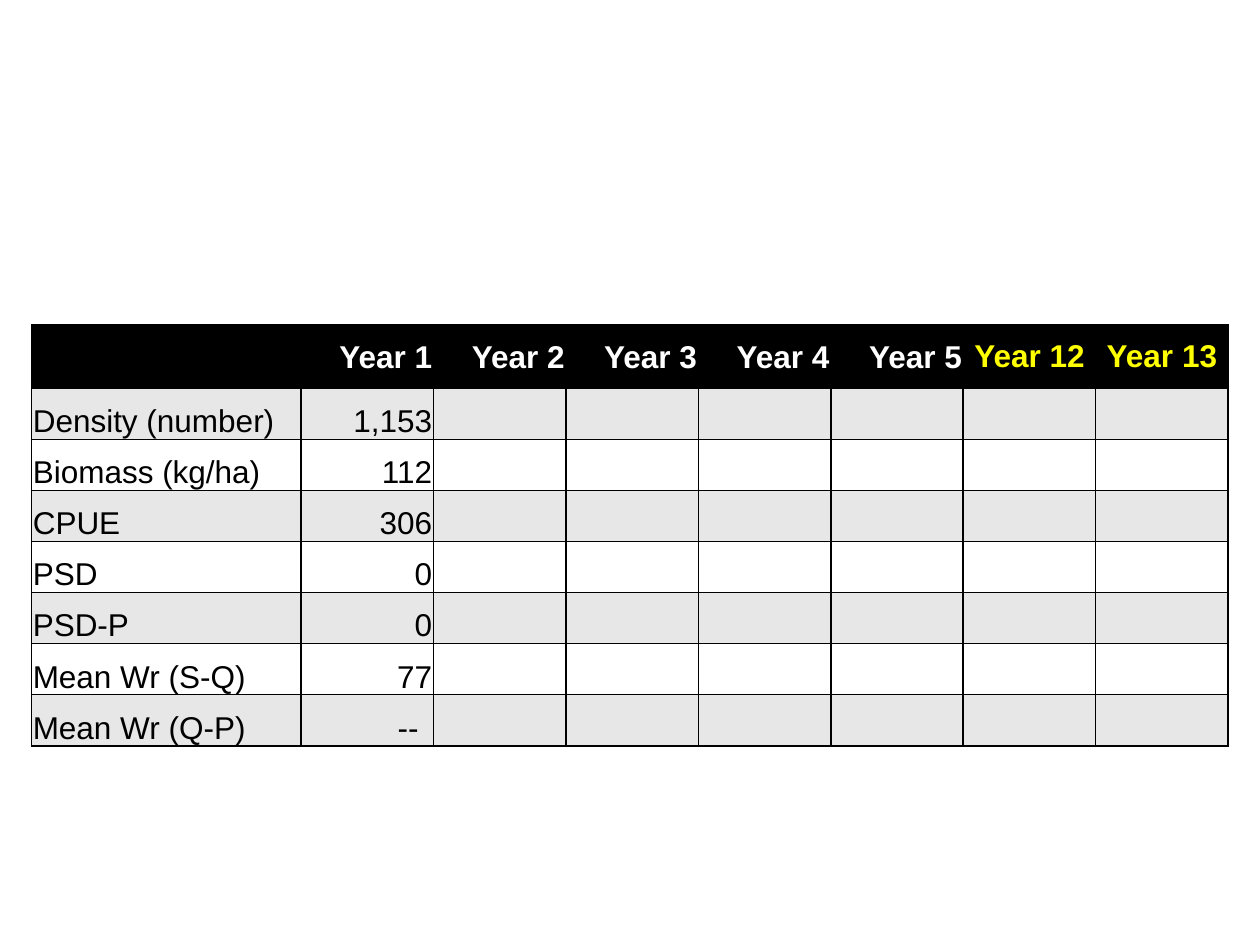
from lxml import etree
from pptx import Presentation
from pptx.dml.color import RGBColor
from pptx.enum.text import MSO_ANCHOR, PP_ALIGN
from pptx.oxml.ns import qn
from pptx.util import Pt

LEFT, RIGHT, MID = PP_ALIGN.LEFT, PP_ALIGN.RIGHT, PP_ALIGN.CENTER
MIDDLE, BOTTOM = MSO_ANCHOR.MIDDLE, MSO_ANCHOR.BOTTOM
BLACK, WHITE, GREY, YELLOW = "000000", "FFFFFF", "E7E7E7", "FFFF00"

YEARS = ["Year 1", "Year 2", "Year 3", "Year 4", "Year 5"]
LATE = ["Year 12", "Year 13"]
DATA = [
    ("Density (number)", "1,153"),
    ("Biomass (kg/ha)", "112"),
    ("CPUE", "306"),
    ("PSD", "0"),
    ("PSD-P", "0"),
    ("Mean Wr (S-Q)", "77"),
    ("Mean Wr (Q-P)", "--"),
]
X, Y = 18, 185.8
NAME_W, YEAR_W = 154, 75.7
HEAD_H, ROW_H = 36, 28.8


def color(code):
    return RGBColor.from_string(code)


def frame(cell, fill):
    props = cell._tc.get_or_add_tcPr()
    for side in ("lnL", "lnR", "lnT", "lnB"):
        line = etree.SubElement(props, qn("a:" + side), w=str(Pt(1)))
        solid = etree.SubElement(line, qn("a:solidFill"))
        etree.SubElement(solid, qn("a:srgbClr"), val=BLACK)
    cell.fill.solid()
    cell.fill.fore_color.rgb = color(fill)


def write(cell, text, ink=BLACK, bold=False, align=LEFT, anchor=BOTTOM, inset=0.75, right=None):
    cell.vertical_anchor = anchor
    cell.margin_left = cell.margin_top = Pt(inset)
    cell.margin_right = Pt(inset if right is None else right)
    cell.margin_bottom = 0
    para = cell.text_frame.paragraphs[0]
    para.alignment = align
    run = para.add_run()
    run.text = text
    font = run.font
    font.name, font.size, font.bold = "Arial", Pt(18), bold
    font.color.rgb = color(ink)


def main():
    deck = Presentation()
    deck.slide_width, deck.slide_height = Pt(720), Pt(540)
    slide = deck.slides.add_slide(deck.slide_layouts[6])

    widths = [NAME_W] + [YEAR_W] * len(YEARS + LATE)
    heights = [HEAD_H] + [ROW_H] * len(DATA)
    table = slide.shapes.add_table(
        len(heights), len(widths), Pt(X), Pt(Y), Pt(sum(widths)), Pt(sum(heights))
    ).table
    for col, width in zip(table.columns, widths):
        col.width = Pt(width)
    for i, (row, height) in enumerate(zip(table.rows, heights)):
        row.height = Pt(height)
        fill = BLACK if i == 0 else GREY if i % 2 else WHITE
        for cell in row.cells:
            frame(cell, fill)

    for j, year in enumerate(YEARS, 1):
        write(table.cell(0, j), year, ink=WHITE, bold=True, align=RIGHT, anchor=MIDDLE)
    for j, year in enumerate(LATE, len(YEARS) + 1):
        write(table.cell(0, j), year, ink=YELLOW, bold=True, align=MID, anchor=MIDDLE, inset=0)
    for i, (name, value) in enumerate(DATA, 1):
        write(table.cell(i, 0), name)
        write(table.cell(i, 1), value, align=RIGHT, right=8.5 if value == "--" else None)

    deck.save("out.pptx")


if __name__ == "__main__":
    main()
